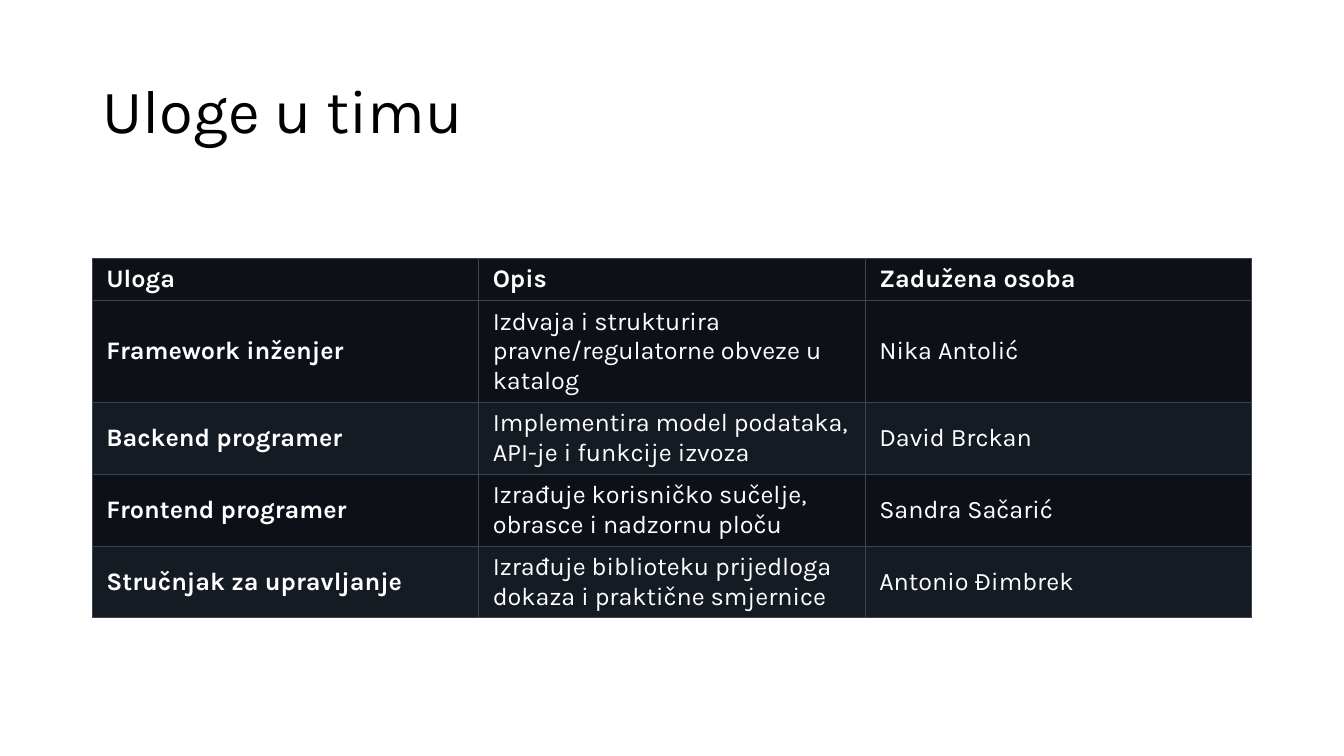
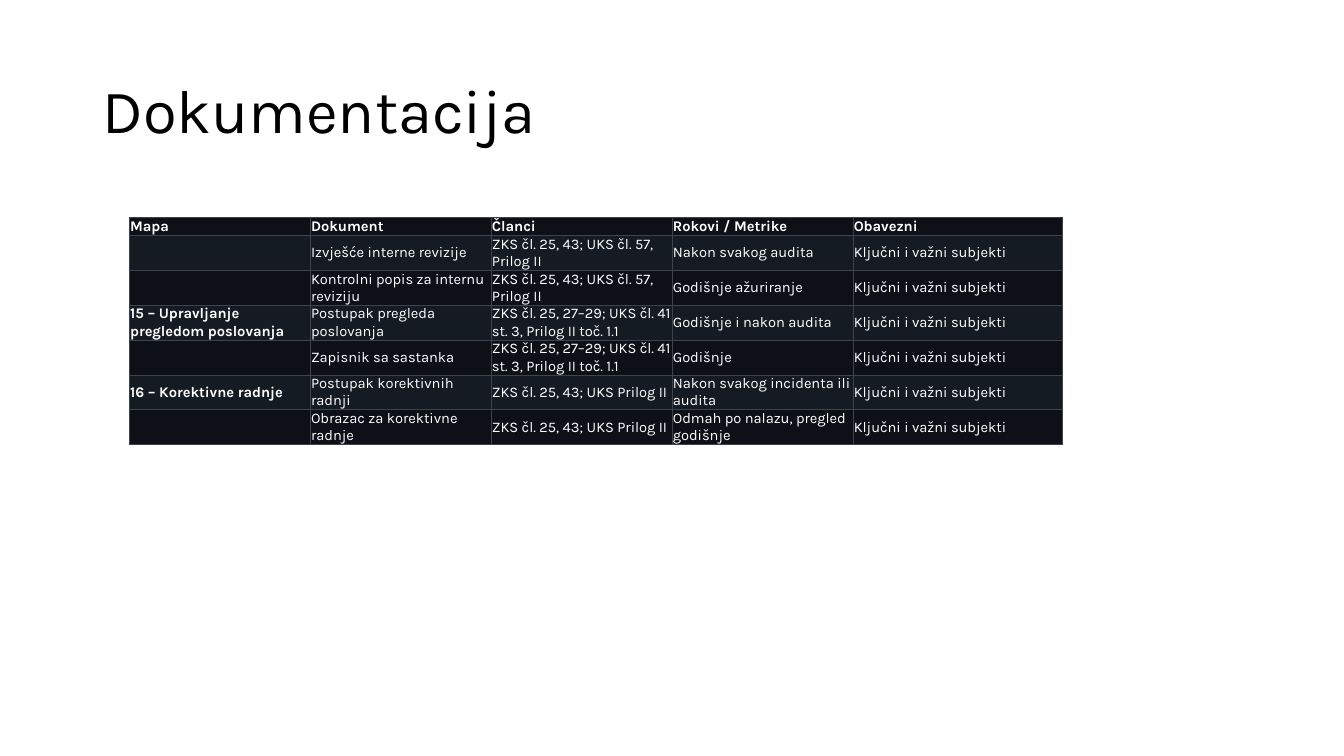
"""Build two slides, each with a title and a dark table."""

import dataclasses
import typing

import lxml.etree
import pptx
import pptx.dml.color
import pptx.enum.text
import pptx.oxml.ns
import pptx.util

Cm = pptx.util.Cm
Pt = pptx.util.Pt

FONT = "Karla"
BLACK, WHITE = "000000", "FFFFFF"
DARK, LIGHT, BORDER = "0D1117", "151B23", "3D444D"
TITLE_ONLY = 5
TITLE_FRAME = {"left": Cm(2.33), "top": Cm(1.01), "width": Cm(29.21), "height": Cm(3.68)}
TITLE_TEXT = {
    "word_wrap": True,
    "auto_size": pptx.enum.text.MSO_AUTO_SIZE.NONE,
    "vertical_anchor": pptx.enum.text.MSO_ANCHOR.MIDDLE,
}
TITLE_PARA = {"alignment": pptx.enum.text.PP_ALIGN.LEFT, "line_spacing": 0.9}
ALL_SUBJECTS = "Ključni i važni subjekti"
AUDIT_ARTICLES = "ZKS čl. 25, 43; UKS čl. 57, Prilog II"
REVIEW_ARTICLES = "ZKS čl. 25, 27–29; UKS čl. 41 st. 3, Prilog II toč. 1.1"
CORRECTIVE_ARTICLES = "ZKS čl. 25, 43; UKS Prilog II"


@dataclasses.dataclass(frozen=True)
class TablePage:
    """A titled table; lengths are in centimetres and bands colour the body rows in turn."""

    title: str
    left: float
    top: float
    column_widths: tuple[float, ...]
    row_heights: tuple[float, ...]
    margins: tuple[float, float]
    font_size: float
    bands: tuple[str, str]
    rows: tuple[tuple[str, ...], ...]


PAGES = (
    TablePage(
        title="Uloge u timu",
        left=2.33,
        top=6.51,
        column_widths=(9.74,) * 3,
        row_heights=(1.06, 2.56) + (1.81,) * 3,
        margins=(0.35, 0.16),
        font_size=18,
        bands=(DARK, LIGHT),
        rows=(
            ("Uloga", "Opis", "Zadužena osoba"),
            (
                "Framework inženjer",
                "Izdvaja i strukturira pravne/regulatorne obveze u katalog",
                "Nika Antolić",
            ),
            (
                "Backend programer",
                "Implementira model podataka, API-je i funkcije izvoza",
                "David Brckan",
            ),
            (
                "Frontend programer",
                "Izrađuje korisničko sučelje, obrasce i nadzornu ploču",
                "Sandra Sačarić",
            ),
            (
                "Stručnjak za upravljanje",
                "Izrađuje biblioteku prijedloga dokaza i praktične smjernice",
                "Antonio Đimbrek",
            ),
        ),
    ),
    TablePage(
        title="Dokumentacija",
        left=3.26,
        top=5.48,
        column_widths=(4.56,) * 4 + (5.27,),
        row_heights=(0.45,) + (0.88,) * 6,
        margins=(0.02, 0),
        font_size=10.5,
        bands=(LIGHT, DARK),
        rows=(
            ("Mapa", "Dokument", "Članci", "Rokovi / Metrike", "Obavezni"),
            ("", "Izvješće interne revizije", AUDIT_ARTICLES, "Nakon svakog audita", ALL_SUBJECTS),
            (
                "",
                "Kontrolni popis za internu reviziju",
                AUDIT_ARTICLES,
                "Godišnje ažuriranje",
                ALL_SUBJECTS,
            ),
            (
                "15 – Upravljanje pregledom poslovanja",
                "Postupak pregleda poslovanja",
                REVIEW_ARTICLES,
                "Godišnje i nakon audita",
                ALL_SUBJECTS,
            ),
            ("", "Zapisnik sa sastanka", REVIEW_ARTICLES, "Godišnje", ALL_SUBJECTS),
            (
                "16 – Korektivne radnje",
                "Postupak korektivnih radnji",
                CORRECTIVE_ARTICLES,
                "Nakon svakog incidenta ili audita",
                ALL_SUBJECTS,
            ),
            (
                "",
                "Obrazac za korektivne radnje",
                CORRECTIVE_ARTICLES,
                "Odmah po nalazu, pregled godišnje",
                ALL_SUBJECTS,
            ),
        ),
    ),
)


def apply_format(target: typing.Any, values: dict[str, typing.Any]) -> None:
    """Set every named attribute on the target."""
    for name, value in values.items():
        setattr(target, name, value)


def paint(colour_holder: typing.Any, colour: str) -> None:
    """Give a fill a solid colour from a hex string."""
    colour_holder.solid()
    colour_holder.fore_color.rgb = pptx.dml.color.RGBColor.from_string(colour)


def write_text(para: typing.Any, text: str, size: float, colour: str, bold: bool = False) -> None:
    """Add one formatted span to a paragraph."""
    span = para.add_run()
    span.text = text
    apply_format(span.font, {"name": FONT, "size": Pt(size), "bold": bold})
    paint(span.font.fill, colour)


def add_borders(cell: typing.Any) -> None:
    """Draw the four thin borders of a table cell."""
    qualified = pptx.oxml.ns.qn
    properties = cell._tc.get_or_add_tcPr()
    for side in ("a:lnL", "a:lnR", "a:lnT", "a:lnB"):
        line = lxml.etree.SubElement(properties, qualified(side), w=str(Pt(0.75)))
        fill = lxml.etree.SubElement(line, qualified("a:solidFill"))
        lxml.etree.SubElement(fill, qualified("a:srgbClr"), val=BORDER)


def add_title(page: typing.Any, text: str) -> None:
    """Place and fill the title placeholder."""
    box = page.shapes.title
    apply_format(box, TITLE_FRAME)
    apply_format(box.text_frame, TITLE_TEXT)
    para = box.text_frame.paragraphs[0]
    apply_format(para, TITLE_PARA)
    write_text(para, text, 44, BLACK)


def add_dark_table(page: typing.Any, content: TablePage) -> None:
    """Draw the banded table with a bold header row and first column."""
    table = page.shapes.add_table(
        len(content.row_heights),
        len(content.column_widths),
        Cm(content.left),
        Cm(content.top),
        Cm(sum(content.column_widths)),
        Cm(sum(content.row_heights)),
    ).table
    for column, width in zip(table.columns, content.column_widths):
        column.width = Cm(width)
    for row, height in zip(table.rows, content.row_heights):
        row.height = Cm(height)
    side, end = (Cm(margin) for margin in content.margins)
    cell_format = {
        "margin_left": side,
        "margin_right": side,
        "margin_top": end,
        "margin_bottom": end,
        "vertical_anchor": pptx.enum.text.MSO_ANCHOR.MIDDLE,
    }
    for row_index, texts in enumerate(content.rows):
        band = content.bands[(row_index - 1) % 2] if row_index else DARK
        for column_index, text in enumerate(texts):
            cell = table.cell(row_index, column_index)
            apply_format(cell, cell_format)
            add_borders(cell)
            paint(cell.fill, band)
            if text:
                bold = row_index == 0 or column_index == 0
                write_text(cell.text_frame.paragraphs[0], text, content.font_size, WHITE, bold)


def main() -> None:
    """Build and save the deck."""
    deck = pptx.Presentation()
    apply_format(deck, {"slide_width": Cm(33.87), "slide_height": Cm(19.05)})
    for content in PAGES:
        page = deck.slides.add_slide(deck.slide_layouts[TITLE_ONLY])
        paint(page.background.fill, WHITE)
        add_title(page, content.title)
        add_dark_table(page, content)
    deck.save("out.pptx")


if __name__ == "__main__":
    main()
